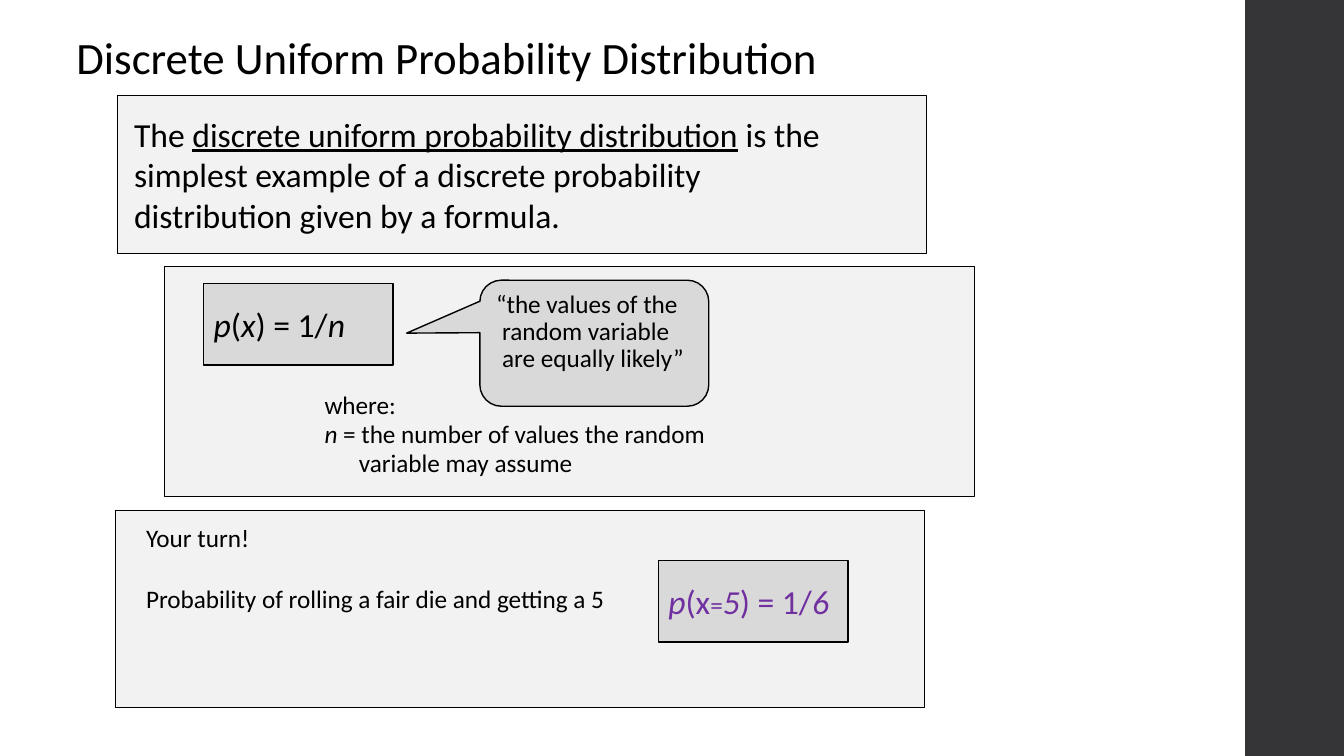
import pptx
import pptx.dml.color
import pptx.enum.shapes
import pptx.enum.text
import pptx.util

Inches = pptx.util.Inches
Pt = pptx.util.Pt
SHAPES = pptx.enum.shapes.MSO_SHAPE
ANCHORS = pptx.enum.text.MSO_ANCHOR

COLORS = {
    "text": "000000",
    "answer": "7030A0",
    "panel": "F2F2F2",
    "formula": "D9D9D9",
    "sidebar": "353537",
}


def color(name):
    return pptx.dml.color.RGBColor.from_string(COLORS[name])


def add_block(page, kind, left, top, width, height, fill, line=None):
    """Draw a filled shape, outlined when a line width is given."""
    box = page.shapes.add_shape(
        kind, Inches(left), Inches(top), Inches(width), Inches(height))
    box.shadow.inherit = False
    box.fill.solid()
    box.fill.fore_color.rgb = color(fill)
    if line is None:
        box.line.fill.background()
    else:
        box.line.color.rgb = color("text")
        box.line.width = Pt(line)
    return box


def add_textbox(page, left, top, width, height):
    return page.shapes.add_textbox(
        Inches(left), Inches(top), Inches(width), Inches(height))


def write(box, lines, size, ink="text", anchor=ANCHORS.MIDDLE, inset=0.1):
    """Write one paragraph per line; a line is a list of (text, style) spans."""
    frame = box.text_frame
    frame.word_wrap = True
    frame.vertical_anchor = anchor
    frame.margin_left = Inches(inset)
    for index, spans in enumerate(lines):
        para = frame.paragraphs[0] if index == 0 else frame.add_paragraph()
        para.alignment = pptx.enum.text.PP_ALIGN.LEFT
        para.font.name = "Calibri"
        para.font.size = Pt(size)
        para.font.color.rgb = color(ink)
        for text, style in spans:
            span = para.add_run()
            span.text = text
            if style == "italic":
                span.font.italic = True
            elif style == "underline":
                span.font.underline = True
            elif style == "small":
                span.font.size = Pt(18)
    return frame.paragraphs


def indent(para, inches):
    para._p.get_or_add_pPr().set("marL", str(Inches(inches)))


def add_formula(page, left, top, spans, ink="text"):
    box = add_block(page, SHAPES.RECTANGLE, left, top, 1.88, 0.81, "formula", 1)
    write(box, [spans], 24, ink)


def add_panel(page, left, top, height):
    return add_block(page, SHAPES.RECTANGLE, left, top, 8.03, height, "panel", 0.5)


def add_callout(page):
    box = add_block(page, SHAPES.ROUNDED_RECTANGULAR_CALLOUT,
                    4.76, 2.78, 2.27, 1.25, "formula", 1)
    for index, value in enumerate((-0.82, -0.08, 0.17)):
        box.adjustments[index] = value
    lines = ["“the values of the", "random variable", "are equally likely”"]
    paras = write(box, [[(line, None)] for line in lines], 18, anchor=ANCHORS.TOP)
    for para in paras:
        para.line_spacing = 0.9
    for para in paras[1:]:
        indent(para, 0.06)


def main():
    deck = pptx.Presentation()
    deck.slide_width, deck.slide_height = Inches(13.33), Inches(7.5)
    page = deck.slides.add_slide(deck.slide_layouts[6])

    # Sidebar and title
    add_block(page, SHAPES.RECTANGLE, 12.35, 0, 1, 7.5, "sidebar")
    title = add_textbox(page, 0.66, 0.12, 8.5, 0.89)
    write(title, [[("Discrete Uniform Probability Distribution", None)]], 32)

    # Formula and its explanation
    add_panel(page, 1.63, 2.64, 2.28)
    add_formula(page, 2.02, 2.81, [
        ("p", "italic"), ("(", None), ("x", "italic"), (") = 1/", None),
        ("n", "italic")])
    legend = add_textbox(page, 3.12, 3.55, 5.55, 1.5)
    paras = write(legend, [
        [("where:", None)],
        [("n", "italic"), (" = the number of values the random", None)],
        [("variable may assume", None)]], 18)
    for para in paras[1:]:
        para.line_spacing = 0.8
        para.space_before = Pt(3.6)
    indent(paras[2], 0.34)
    add_callout(page)

    # Exercise
    add_panel(page, 1.14, 5.06, 1.96)
    exercise = add_textbox(page, 1.35, 5.13, 5.08, 1.31)
    paras = write(exercise, [
        [("Your turn!", None)],
        [("Probability of rolling a fair die and getting a 5", None)]],
        18, anchor=ANCHORS.TOP)
    paras[1].space_before = Pt(22)
    add_formula(page, 6.53, 5.56, [
        ("p", "italic"), ("(x", None), ("=", "small"), ("5", "italic"),
        (") = 1/", None), ("6", "italic")], "answer")

    # Definition
    definition = add_panel(page, 1.16, 0.95, 1.56)
    write(definition, [
        [("The ", None), ("discrete uniform probability distribution", "underline"),
         (" is the", None)],
        [("simplest example of a discrete probability", None)],
        [("distribution given by a formula.", None)]], 24, inset=0.17)

    deck.save("out.pptx")


if __name__ == "__main__":
    main()
